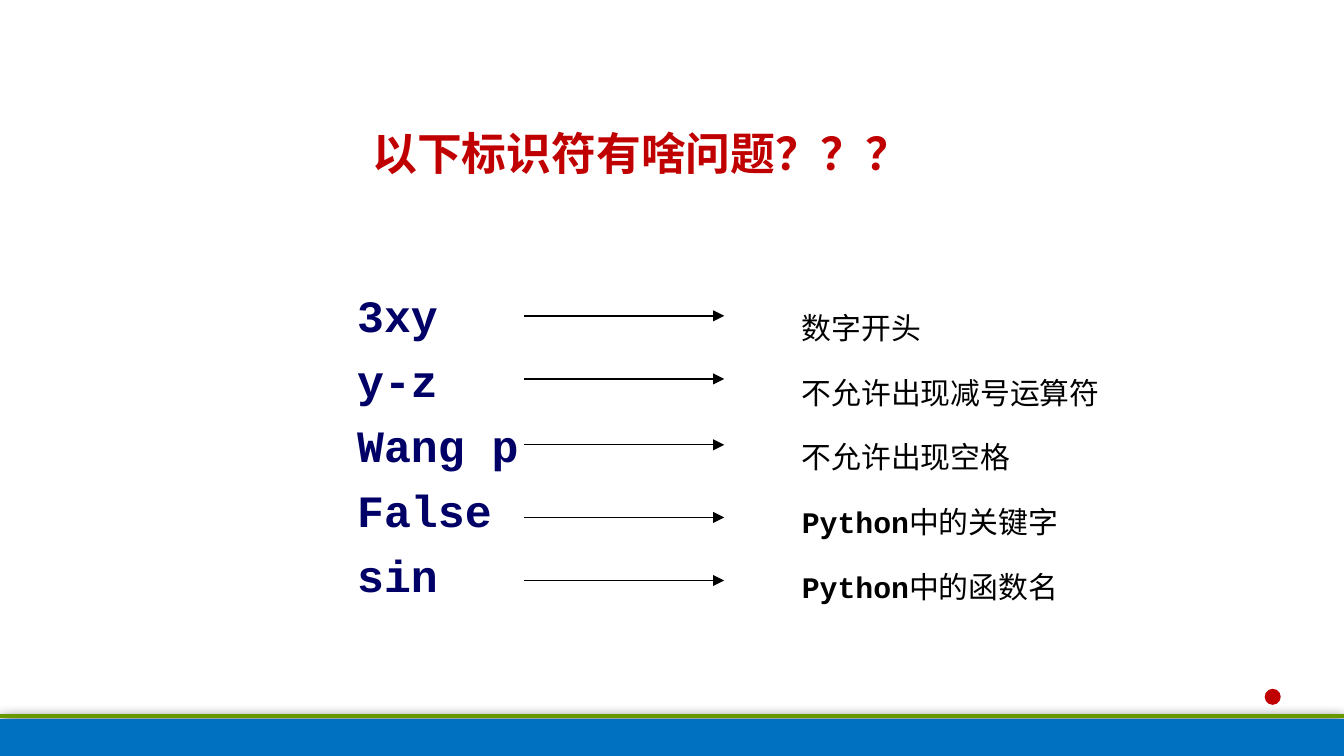
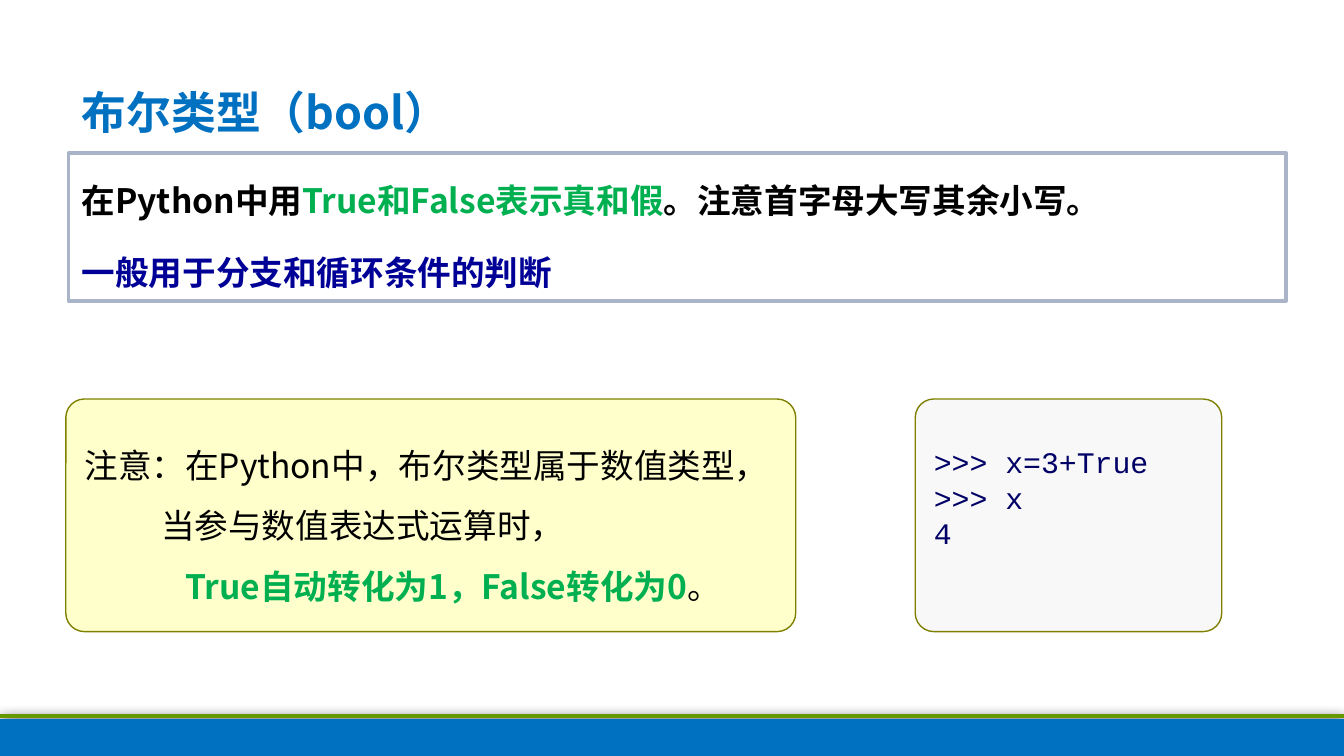
from dataclasses import dataclass
from typing import Optional

from lxml.etree import SubElement
from pptx import Presentation
from pptx.dml.color import RGBColor
from pptx.enum.shapes import MSO_CONNECTOR as Connector, MSO_SHAPE as Preset
from pptx.enum.text import MSO_ANCHOR as Anchor, PP_ALIGN as Align
from pptx.oxml.ns import qn
from pptx.util import Pt

SANS = "Noto Sans CJK SC"
MONO = "Courier New"
BLACK = "000000"
BLUE = "0070C0"
NAVY = "000066"
RED = "C00000"
GREEN = "00B050"
OLIVE = "808000"
WIDTH, HEIGHT = 720, 405
BAND_TOP = 385.2


@dataclass(frozen=True)
class Box:
    left: float
    top: float
    width: float
    height: float

    def lengths(self) -> tuple:
        return Pt(self.left), Pt(self.top), Pt(self.width), Pt(self.height)


@dataclass(frozen=True)
class Style:
    font: str
    size: float
    color: str = BLACK
    bold: bool = False
    line_spacing: float = 1.0
    space_before: float = 0
    align: Align = Align.LEFT


@dataclass(frozen=True)
class Span:
    text: str
    color: Optional[str] = None
    bold: Optional[bool] = None


@dataclass(frozen=True)
class Line:
    spans: tuple
    indent: float = 0
    color: Optional[str] = None


@dataclass(frozen=True)
class Problem:
    identifier: str
    reason: tuple
    arrow_y: float


TITLE = Style(SANS, 24, BLUE, bold=True)
QUESTION = Style(SANS, 24, RED, bold=True, line_spacing=0.95, align=Align.CENTER)
IDENTIFIER = Style(MONO, 24, NAVY, bold=True, space_before=6)
REASON = Style(MONO, 16, line_spacing=1.5, space_before=6)
STATEMENT = Style(SANS, 18, bold=True, line_spacing=1.5, space_before=6)
NOTE = Style(SANS, 18, line_spacing=1.5)
CODE = Style(MONO, 16, NAVY)

PYTHON = Span("Python", bold=True)
PROBLEMS = (
    Problem("3xy", (Span("数字开头"),), 169.2),
    Problem("y-z", (Span("不允许出现减号运算符"),), 203),
    Problem("Wang p", (Span("不允许出现空格"),), 238.3),
    Problem("False", (PYTHON, Span("中的关键字", bold=False)), 277.2),
    Problem("sin", (PYTHON, Span("中的函数名", bold=False)), 311),
)


def rgb(value: str) -> RGBColor:
    return RGBColor.from_string(value)


def plain(*texts: str) -> list:
    return [Line((Span(text),)) for text in texts]


def write(frame, lines: list, style: Style) -> None:
    for index, line in enumerate(lines):
        paragraph = frame.add_paragraph() if index else frame.paragraphs[0]
        paragraph.alignment = style.align
        paragraph.line_spacing = style.line_spacing
        paragraph.space_before = Pt(style.space_before if index else 0)
        if line.indent:
            properties = paragraph._p.get_or_add_pPr()
            properties.set("marL", str(Pt(line.indent)))
            properties.set("indent", "0")
        font = paragraph.font
        font.name = style.font
        font.size = Pt(style.size)
        font.bold = style.bold
        font.color.rgb = rgb(line.color or style.color)
        SubElement(font._element, qn("a:ea"), typeface=style.font)
        for span in line.spans:
            run = paragraph.add_run()
            run.text = span.text
            if span.color:
                run.font.color.rgb = rgb(span.color)
            if span.bold is not None:
                run.font.bold = span.bold


def add_text(slide, box: Box, lines: list, style: Style) -> None:
    frame = slide.shapes.add_textbox(*box.lengths()).text_frame
    frame.word_wrap = True
    write(frame, lines, style)


def add_panel(slide, preset: Preset, box: Box, fill: str,
              border: Optional[str] = None, weight: float = 0.75):
    panel = slide.shapes.add_shape(preset, *box.lengths())
    panel.shadow.inherit = False
    panel.fill.solid()
    panel.fill.fore_color.rgb = rgb(fill)
    if border:
        panel.line.color.rgb = rgb(border)
        panel.line.width = Pt(weight)
    else:
        panel.line.fill.background()
    return panel


def add_card(slide, box: Box, fill: str, lines: list, style: Style):
    card = add_panel(slide, Preset.ROUNDED_RECTANGLE, box, fill, OLIVE)
    card.adjustments[0] = 0.08
    frame = card.text_frame
    frame.word_wrap = False
    frame.vertical_anchor = Anchor.MIDDLE
    write(frame, lines, style)
    return card


def add_rule(slide, left: float, right: float, y: float, color: str,
             weight: float, arrow: bool = False) -> None:
    rule = slide.shapes.add_connector(
        Connector.STRAIGHT, Pt(left), Pt(y), Pt(right), Pt(y))
    rule.line.color.rgb = rgb(color)
    rule.line.width = Pt(weight)
    if arrow:
        SubElement(rule.line._get_or_add_ln(), qn("a:tailEnd"), type="triangle")
    SubElement(rule._element.spPr, qn("a:effectLst"))


def add_slide(deck):
    slide = deck.slides.add_slide(deck.slide_layouts[6])
    band = add_panel(slide, Preset.RECTANGLE,
                     Box(0, BAND_TOP, WIDTH, HEIGHT - BAND_TOP), BLUE)
    effects = band._element.spPr.find(qn("a:effectLst"))
    shadow = SubElement(effects, qn("a:outerShdw"), blurRad=str(Pt(8.5)),
                        dist=str(Pt(1)), dir="5400000", rotWithShape="0")
    SubElement(shadow, qn("a:srgbClr"), val=BLACK)
    add_rule(slide, 0, WIDTH, 383.8, "669900", 2)
    return slide


def build_identifiers(deck) -> None:
    slide = add_slide(deck)
    add_text(slide, Box(156, 66, 375, 40), plain("以下标识符有啥问题？？？"), QUESTION)
    add_text(slide, Box(184.3, 150.5, 113, 177),
             plain(*(problem.identifier for problem in PROBLEMS)), IDENTIFIER)
    add_panel(slide, Preset.OVAL, Box(677.5, 369, 8.6, 8.6), RED)
    add_text(slide, Box(422.5, 152.6, 193, 174),
             [Line(problem.reason) for problem in PROBLEMS], REASON)
    for problem in PROBLEMS:
        add_rule(slide, 280.8, 388, problem.arrow_y, BLACK, 0.75, arrow=True)


def build_booleans(deck) -> None:
    slide = add_slide(deck)
    statement = add_panel(slide, Preset.RECTANGLE, Box(36.7, 82, 652.3, 79.2),
                          "FFFFFF", "AAB4C8", 2)
    statement.text_frame.word_wrap = True
    statement.text_frame.vertical_anchor = Anchor.TOP
    write(statement.text_frame, [
        Line((Span("在Python中用"), Span("True和False表示真和假", GREEN),
              Span("。注意首字母大写其余小写。"))),
        Line((Span("一般用于分支和循环条件的判断"),), color="000096"),
    ], STATEMENT)
    add_text(slide, Box(36.7, 41.8, 374.4, 36), plain("布尔类型（bool）"), TITLE)

    card_top, card_height = 213.8, 124.6
    add_card(slide, Box(35.3, card_top, 391, card_height), "FFFFCC", [
        Line((Span("注意：在Python中，布尔类型属于数值类型，"),)),
        Line((Span("当参与数值表达式运算时，"),), indent=41),
        Line((Span("True自动转化为1，False转化为0", GREEN, True), Span("。")), indent=54),
    ], NOTE)
    code = add_card(slide, Box(490.3, card_top, 164.2, card_height), "F8F8F8",
                    plain(">>> x=3+True", ">>> x", "4"), CODE)
    code.text_frame.margin_bottom = Pt(23)


def main() -> None:
    deck = Presentation()
    deck.slide_width = Pt(WIDTH)
    deck.slide_height = Pt(HEIGHT)
    build_identifiers(deck)
    build_booleans(deck)
    deck.save("out.pptx")


if __name__ == "__main__":
    main()
